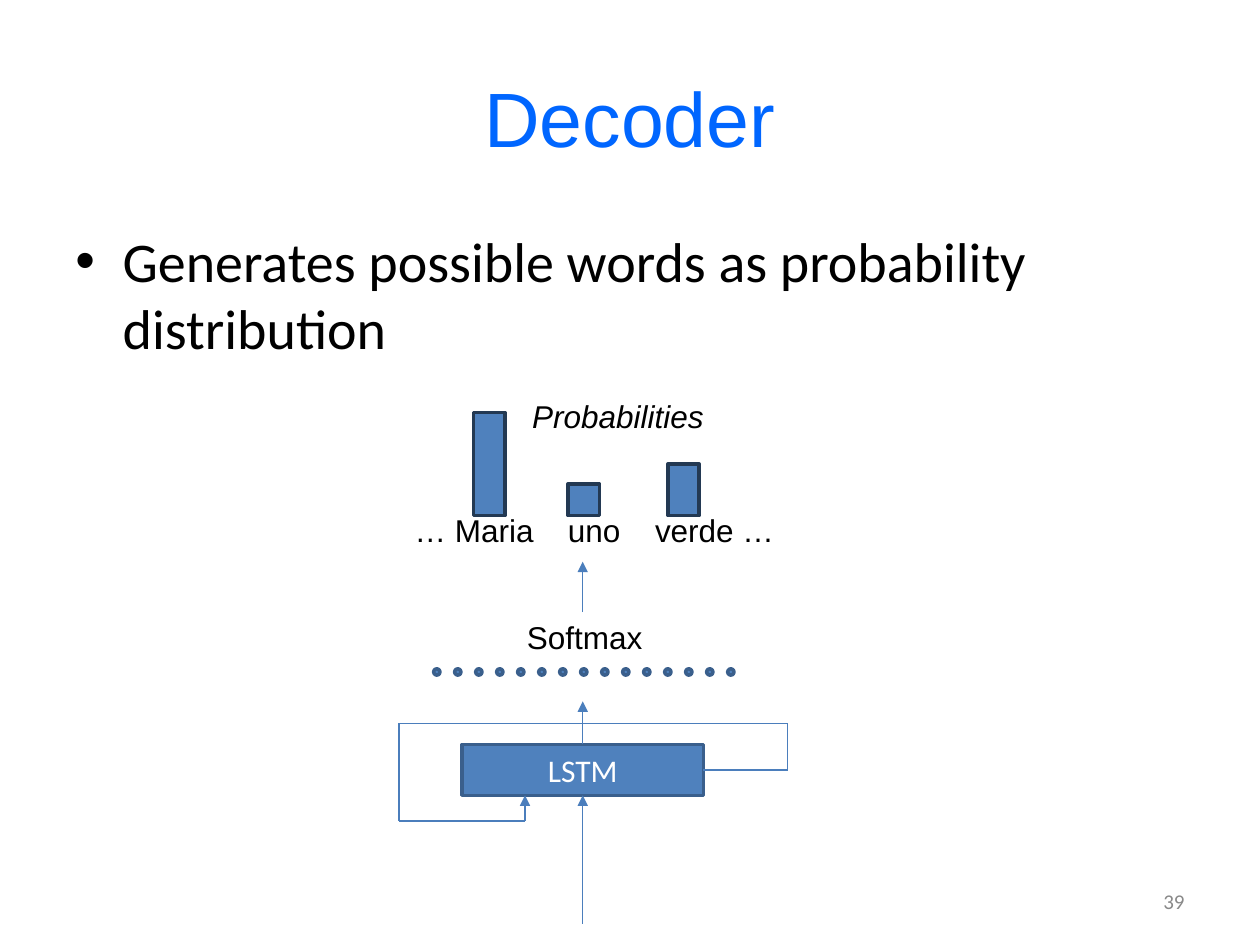
"""Builds a slide on a sequence decoder that turns LSTM output into word probabilities."""
from dataclasses import dataclass, field
from itertools import pairwise

from lxml.etree import SubElement
from pptx import Presentation
from pptx.dml.color import RGBColor
from pptx.enum.shapes import MSO_CONNECTOR, MSO_SHAPE
from pptx.enum.text import MSO_ANCHOR, PP_ALIGN
from pptx.oxml.ns import qn
from pptx.util import Inches, Pt

COLUMNS, ROWS = 120, 90
WIDTH, HEIGHT = Inches(10), Inches(7.5)

COLORS = {
    "title": "0066FF",
    "text": "000000",
    "page": "898989",
    "label": "FFFFFF",
    "fill": "4F81BD",
    "edge": "3A5F8C",
    "bar_edge": "233953",
    "arrow": "4B7EBC",
}
LABEL = {"name": "Arial", "size": Pt(18)}


@dataclass
class Area:
    column: float
    row: float
    columns: float
    rows: float


@dataclass
class Caption:
    text: str
    area: Area
    font: dict
    color: str = "text"
    align: PP_ALIGN = PP_ALIGN.LEFT
    anchor: MSO_ANCHOR = MSO_ANCHOR.TOP
    tabs: list[float] = field(default_factory=list)
    bullet_indent: float = 0


@dataclass
class Bar:
    column: float
    rows: float


def across(columns: float) -> int:
    """Turn grid columns into a length."""
    return round(WIDTH * columns / COLUMNS)


def down(rows: float) -> int:
    """Turn grid rows into a length."""
    return round(HEIGHT * rows / ROWS)


def place(area: Area) -> tuple[int, int, int, int]:
    """Give left, top, width and height of an area."""
    return across(area.column), down(area.row), across(area.columns), down(area.rows)


def color(name: str) -> RGBColor:
    """Look up a colour by its role."""
    return RGBColor.from_string(COLORS[name])


def write(frame, caption: Caption) -> None:
    """Fill a text frame with one formatted paragraph."""
    for key, value in {"word_wrap": True, "vertical_anchor": caption.anchor}.items():
        setattr(frame, key, value)
    paragraph = frame.paragraphs[0]
    paragraph.alignment = caption.align
    properties = paragraph._p.get_or_add_pPr()
    if caption.bullet_indent:
        indent = across(caption.bullet_indent)
        properties.set("marL", str(indent))
        properties.set("indent", str(-indent))
        SubElement(properties, qn("a:buFont"), typeface="Arial")
        SubElement(properties, qn("a:buChar"), char="•")
    if caption.tabs:
        stops = SubElement(properties, qn("a:tabLst"))
        for stop in caption.tabs:
            SubElement(stops, qn("a:tab"), pos=str(across(stop)), algn="l")
    run = paragraph.add_run()
    run.text = caption.text
    for key, value in caption.font.items():
        setattr(run.font, key, value)
    run.font.color.rgb = color(caption.color)


def add_caption(shapes, caption: Caption) -> None:
    """Add a text box for a caption."""
    write(shapes.add_textbox(*place(caption.area)).text_frame, caption)


def add_block(shapes, kind: MSO_SHAPE, area: Area, edge: str = "edge"):
    """Add a filled and outlined shape."""
    block = shapes.add_shape(kind, *place(area))
    block.shadow.inherit = False
    block.fill.solid()
    block.fill.fore_color.rgb = color("fill")
    block.line.color.rgb = color(edge)
    block.line.width = Pt(2)
    return block


def add_line(shapes, start: tuple, end: tuple, arrow: bool = False):
    """Add a straight line between two grid points."""
    line = shapes.add_connector(
        MSO_CONNECTOR.STRAIGHT,
        across(start[0]), down(start[1]), across(end[0]), down(end[1]),
    )
    line.line.color.rgb = color("arrow")
    line.line.width = Pt(0.75)
    if arrow:
        SubElement(line.line._get_or_add_ln(), qn("a:tailEnd"), type="triangle")
    SubElement(line._element.spPr, qn("a:effectLst"))
    return line


TITLE = Caption("Decoder", Area(6, 3.6, 108, 15), {"name": "Arial", "size": Pt(44)},
                "title", PP_ALIGN.CENTER, MSO_ANCHOR.MIDDLE)
BODY = Caption("Generates possible words as probability distribution",
               Area(6, 21, 108, 59.4), {"name": "Calibri", "size": Pt(32)},
               bullet_indent=4.5)
PAGE = Caption("39", Area(86, 83.4, 28, 4.8), {"name": "Calibri", "size": Pt(12)},
               "page", PP_ALIGN.RIGHT, MSO_ANCHOR.MIDDLE)
LSTM = Caption("LSTM", Area(44, 70.9, 23, 4.85), {"name": "Calibri", "size": Pt(18)},
               "label", PP_ALIGN.CENTER, MSO_ANCHOR.MIDDLE)
WORDS = Caption("… Maria\tuno\tverde …", Area(38.3, 48.1, 38, 4.8), LABEL,
                tabs=[14.6, 22.9])
SOFTMAX = Caption("Softmax", Area(49, 58.3, 14, 4.8), LABEL)
PROBABILITIES = Caption("Probabilities", Area(49.5, 37.2, 19.5, 4.8),
                        LABEL | {"italic": True})

BARS = [Bar(45.1, 9.8), Bar(54.1, 3), Bar(63.6, 4.9)]
BAR_BASE, BAR_COLUMNS = 49.1, 3
DOT_COUNT, DOT_PITCH, DOT_SIZE = 15, 2, 0.6
AXIS = LSTM.area.column + LSTM.area.columns / 2
LSTM_RIGHT = LSTM.area.column + LSTM.area.columns
LSTM_MIDDLE = LSTM.area.row + LSTM.area.rows / 2
LSTM_BOTTOM = LSTM.area.row + LSTM.area.rows
FEEDBACK = [(LSTM_RIGHT, LSTM_MIDDLE), (75, LSTM_MIDDLE), (75, 68.9), (38, 68.9),
            (38, 78.2), (50, 78.2), (50, LSTM_BOTTOM)]


def main() -> None:
    """Build and save the slide."""
    deck = Presentation()
    deck.slide_width, deck.slide_height = WIDTH, HEIGHT
    shapes = deck.slides.add_slide(deck.slide_layouts[6]).shapes
    for caption in (TITLE, BODY, PAGE):
        add_caption(shapes, caption)

    lstm = add_block(shapes, MSO_SHAPE.RECTANGLE, LSTM.area)
    write(lstm.text_frame, LSTM)
    add_line(shapes, (AXIS, 58.3), (AXIS, 53.5), arrow=True)
    add_line(shapes, (AXIS, 88), (AXIS, LSTM_BOTTOM), arrow=True).end_connect(lstm, 2)
    add_line(shapes, (AXIS, LSTM.area.row), (AXIS, 66.8), arrow=True).begin_connect(lstm, 0)
    feedback = [add_line(shapes, start, end, arrow=end == FEEDBACK[-1])
                for start, end in pairwise(FEEDBACK)]
    feedback[0].begin_connect(lstm, 3)

    distribution = shapes.add_group_shape().shapes
    add_caption(distribution, WORDS)
    for bar in BARS:
        area = Area(bar.column, BAR_BASE - bar.rows, BAR_COLUMNS, bar.rows)
        add_block(distribution, MSO_SHAPE.RECTANGLE, area, "bar_edge")

    add_caption(shapes, SOFTMAX)
    units = shapes.add_group_shape().shapes
    for index in range(DOT_COUNT):
        area = Area(41.3 + index * DOT_PITCH, 63.7, DOT_SIZE, DOT_SIZE)
        add_block(units, MSO_SHAPE.OVAL, area)
    add_caption(shapes, PROBABILITIES)
    deck.save("out.pptx")


if __name__ == "__main__":
    main()
